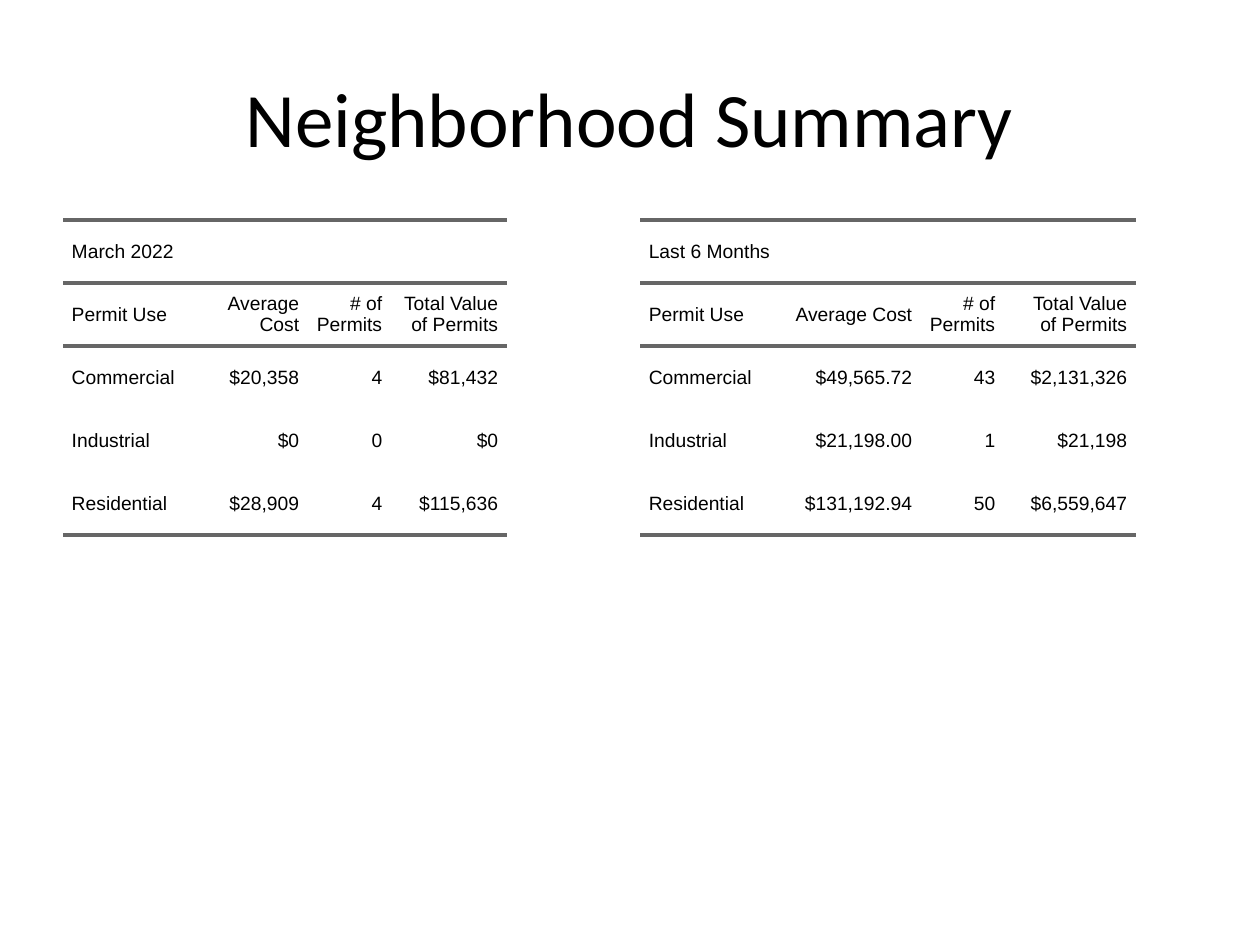
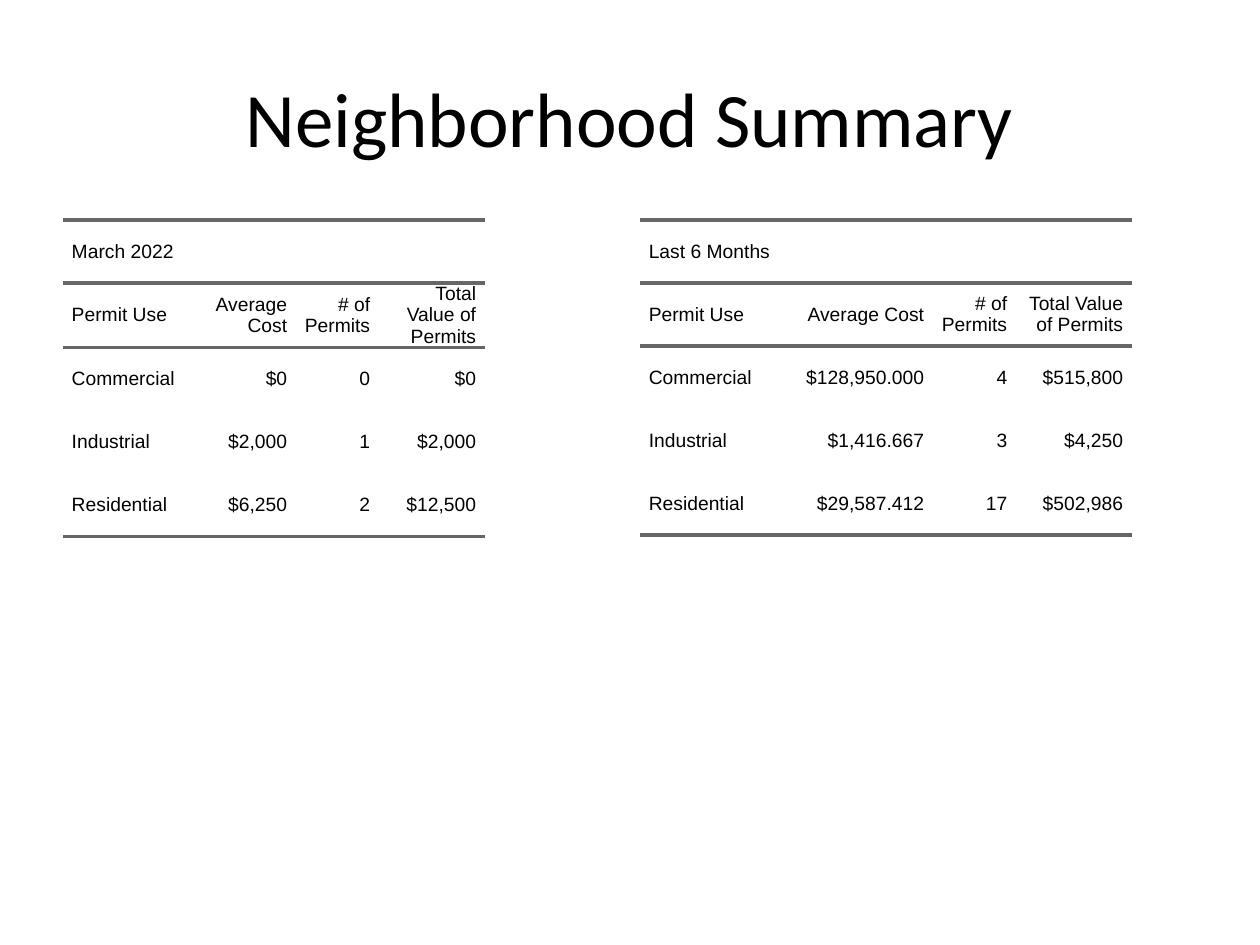
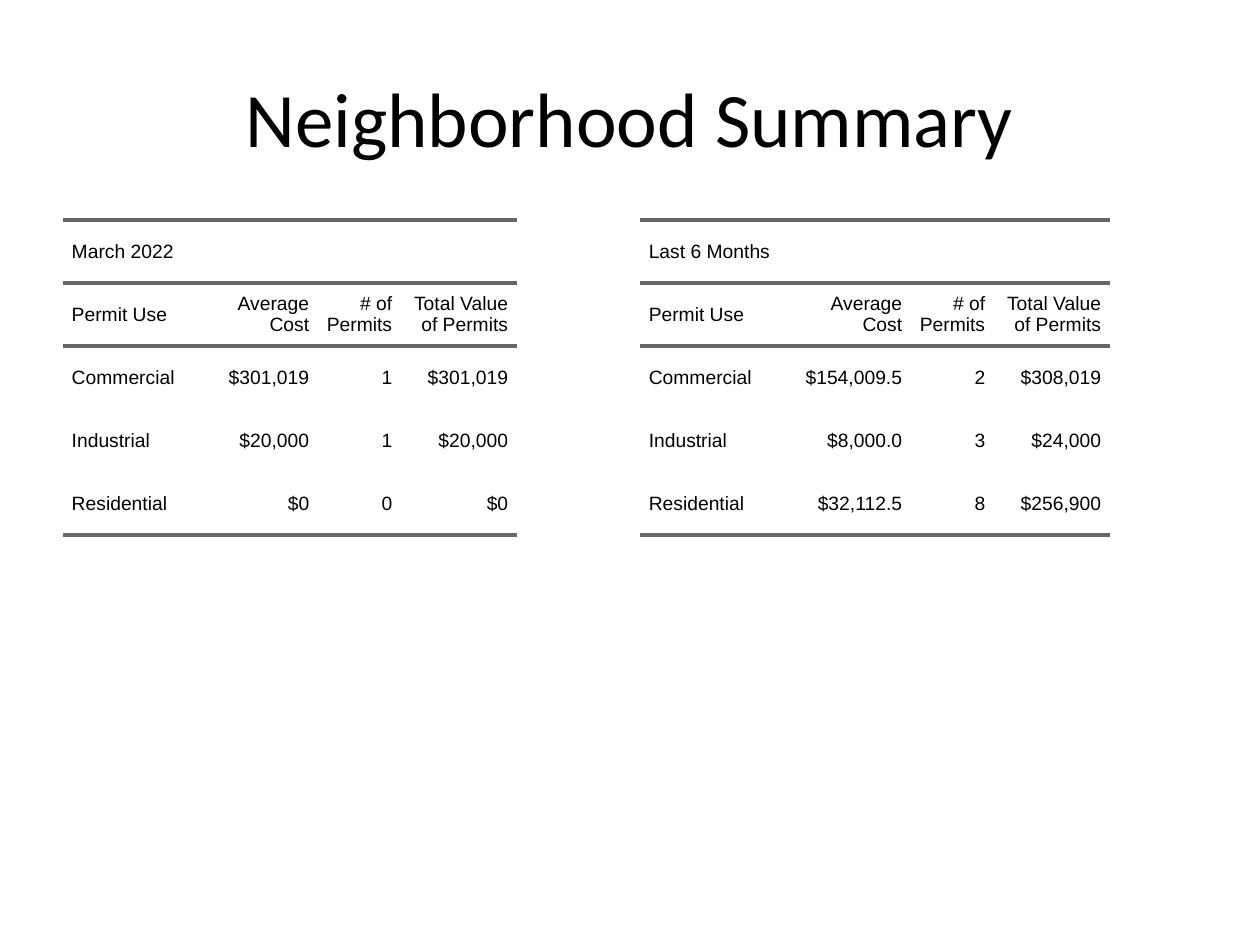
from lxml import etree
from pptx import Presentation
from pptx import util as u
from pptx.dml import color
from pptx.enum import text
from pptx.oxml import ns

PX = u.Inches(1) / 126
INK, RULE = "000000", "666666"
TITLE = "Neighborhood Summary"
TOP, WIDE, TALL = 220, 557, 624
ROW, USE, COUNT = 63, 139, 83
RULED = (0, 1, 2, 5)
HEADS = ("Permit Use", "Average Cost", "# of Permits", "Total Value of Permits")
USES = ("Commercial", "Industrial", "Residential")
SIDES = (("March 2022", 63), ("Last 6 Months", 640))

SLIDES = [
    [
        (106, 116, [("$20,358", "4", "$81,432"), ("$0", "0", "$0"),
                    ("$28,909", "4", "$115,636")]),
        (142, 132, [("$49,565.72", "43", "$2,131,326"), ("$21,198.00", "1", "$21,198"),
                    ("$131,192.94", "50", "$6,559,647")]),
    ],
    [
        (94, 106, [("$0", "0", "$0"), ("$2,000", "1", "$2,000"),
                   ("$6,250", "2", "$12,500")]),
        (154, 116, [("$128,950.000", "4", "$515,800"), ("$1,416.667", "3", "$4,250"),
                    ("$29,587.412", "17", "$502,986")]),
    ],
    [
        (116, 116, [("$301,019", "1", "$301,019"), ("$20,000", "1", "$20,000"),
                    ("$0", "0", "$0")]),
        (132, 116, [("$154,009.5", "2", "$308,019"), ("$8,000.0", "3", "$24,000"),
                    ("$32,112.5", "8", "$256,900")]),
    ],
]


def px(n):
    """Turn pixels into EMU."""
    return u.Emu(round(n * PX))


def style(font, name, size):
    """Set the face, size and ink of a font."""
    font.name, font.size = name, u.Pt(size)
    font.color.rgb = color.RGBColor.from_string(INK)


def border(cell, row):
    """Rule the top and bottom of a cell where its row calls for it."""
    props = cell._tc.get_or_add_tcPr()
    drawn = {"lnT": row in RULED, "lnB": row + 1 in RULED}
    for tag in ("lnL", "lnR", "lnT", "lnB"):
        line = etree.SubElement(props, ns.qn("a:" + tag))
        if drawn.get(tag):
            line.set("w", str(u.Pt(2)))
            fill = etree.SubElement(line, ns.qn("a:solidFill"))
            etree.SubElement(fill, ns.qn("a:srgbClr"), val=RULE)
        else:
            etree.SubElement(line, ns.qn("a:noFill"))


def fill_cell(cell, words, row, col):
    """Write and format one table cell."""
    border(cell, row)
    cell.fill.background()
    cell.margin_left = cell.margin_right = cell.margin_top = cell.margin_bottom = 0
    cell.vertical_anchor = text.MSO_ANCHOR.MIDDLE
    para = cell.text_frame.paragraphs[0]
    para.text = words
    para.alignment = text.PP_ALIGN.RIGHT if col else text.PP_ALIGN.LEFT
    para.space_after = u.Pt(5)
    props = para._p.get_or_add_pPr()
    for side in ("marL", "marR"):
        props.set(side, str(u.Pt(5)))
    style(para.font, "Arial", 11)
    for run in para.runs:
        style(run.font, "Arial", 11)


def add_permits(slide, box, period, cost, total, data):
    """Add the permit table of one period in the given box."""
    rows = [(period, "", "", ""), HEADS]
    rows += [(use, *vals) for use, vals in zip(USES, data)]
    frame = slide.shapes.add_table(len(rows), len(HEADS), *map(px, box))
    table = frame.table
    table.first_row = table.horz_banding = False
    for col, width in zip(table.columns, (USE, cost, COUNT, total)):
        col.width = px(width)
    for r, vals in enumerate(rows):
        table.rows[r].height = px(ROW)
        for c, words in enumerate(vals):
            fill_cell(table.cell(r, c), words, r, c)
    table.cell(0, 0).merge(table.cell(0, len(HEADS) - 1))
    frame.width, frame.height = px(box[2]), px(box[3])


def add_title(slide, box):
    """Place and format the slide title."""
    title = slide.shapes.title
    title.left, title.top, title.width, title.height = map(px, box)
    title.text_frame.text = TITLE
    title.text_frame.vertical_anchor = text.MSO_ANCHOR.MIDDLE
    para = title.text_frame.paragraphs[0]
    para.alignment = text.PP_ALIGN.CENTER
    style(para.runs[0].font, "Calibri", 44)


def add_summary(deck, tables):
    """Add one summary slide with a table for each period."""
    slide = deck.slides.add_slide(deck.slide_layouts[5])
    add_title(slide, (63, 38, 1134, 157))
    for (period, left), (cost, total, data) in zip(SIDES, tables):
        add_permits(slide, (left, TOP, WIDE, TALL), period, cost, total, data)


def main():
    """Build and save the deck."""
    deck = Presentation()
    deck.slide_width, deck.slide_height = px(1260), px(945)
    for tables in SLIDES:
        add_summary(deck, tables)
    deck.save("out.pptx")


if __name__ == "__main__":
    main()
